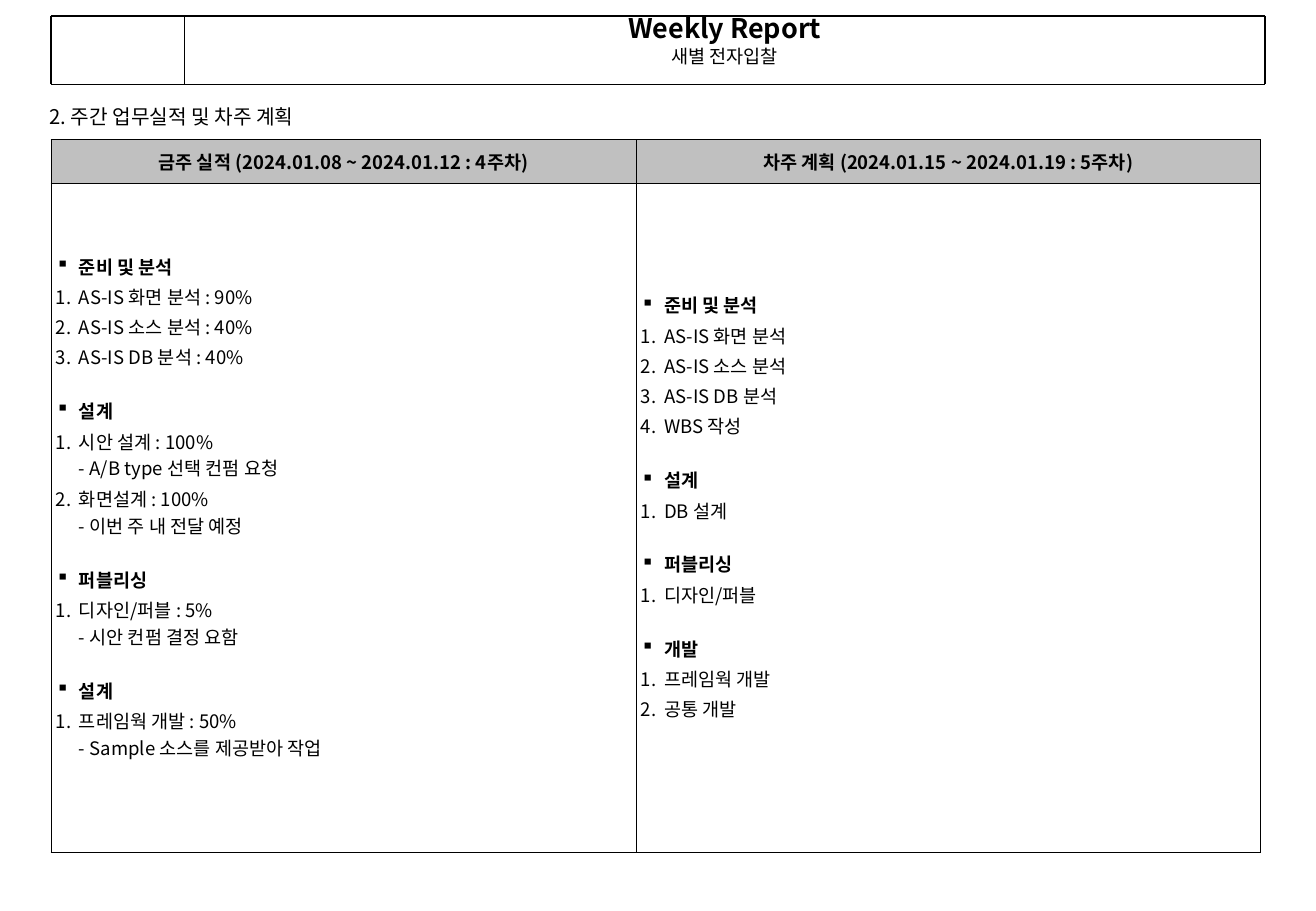
from copy import deepcopy

from lxml.etree import SubElement
from pptx import Presentation
from pptx.dml.color import RGBColor
from pptx.enum.shapes import MSO_CONNECTOR as Connector
from pptx.enum.text import MSO_ANCHOR as Anchor, MSO_AUTO_SIZE as AutoSize, PP_ALIGN as Align
from pptx.oxml.ns import qn
from pptx.util import Pt

PX = 9144
FONT = "Noto Sans CJK KR"
BLACK = RGBColor(0x00, 0x00, 0x00)
HEADER_GRAY = RGBColor(0xC0, 0xC0, 0xC0)
THIN, HAIR, MEDIUM, THICK = 0.25, 0.45, 0.75, 1.5

THIS_WEEK = [
    ("준비 및 분석", ["AS-IS 화면 분석 : 90%", "AS-IS 소스 분석 : 40%", "AS-IS DB 분석 : 40%"]),
    ("설계", ["시안 설계 : 100%\n- A/B type 선택 컨펌 요청",
            "화면설계 : 100%\n- 이번 주 내 전달 예정"]),
    ("퍼블리싱", ["디자인/퍼블 : 5%\n- 시안 컨펌 결정 요함"]),
    ("설계", ["프레임웍 개발 : 50%\n- Sample 소스를 제공받아 작업"]),
]
NEXT_WEEK = [
    ("준비 및 분석", ["AS-IS 화면 분석", "AS-IS 소스 분석", "AS-IS DB 분석", "WBS 작성"]),
    ("설계", ["DB 설계"]),
    ("퍼블리싱", ["디자인/퍼블"]),
    ("개발", ["프레임웍 개발", "공통 개발"]),
]
COLUMNS = [
    ("금주 실적 (2024.01.08 ~ 2024.01.12 : 4주차)", THIS_WEEK),
    ("차주 계획 (2024.01.15 ~ 2024.01.19 : 5주차)", NEXT_WEEK),
]


def add_span(para, text, size, bold=False):
    span = para.add_run()
    span.text = text
    span.font.name = FONT
    span.font.size = Pt(size)
    span.font.bold = bold
    span.font.color.rgb = BLACK
    SubElement(span.font._element, qn("a:ea"), typeface=FONT)
    return span


def set_margins(holder, side, top, bottom):
    holder.margin_left = holder.margin_right = side * PX
    holder.margin_top, holder.margin_bottom = top * PX, bottom * PX


def next_para(frame):
    """Return the empty first paragraph, or a new one."""
    first = frame.paragraphs[0]
    return frame.add_paragraph() if first.runs else first


def add_rule(page, x1, y1, x2, y2, weight):
    rule = page.shapes.add_connector(Connector.STRAIGHT, x1 * PX, y1 * PX, x2 * PX, y2 * PX)
    rule.line.color.rgb = BLACK
    rule.line.width = Pt(weight)
    SubElement(rule._element.spPr, qn("a:effectLst"))


def draw_banner(page, left, top, width, height):
    right, bottom, divider = left + width, top + height, left + 110
    title = page.shapes.title
    title.left, title.top = divider * PX, top * PX
    title.width, title.height = (right - divider) * PX, height * PX
    frame = title.text_frame
    frame.auto_size = AutoSize.NONE
    frame.word_wrap = True
    frame.vertical_anchor = Anchor.TOP
    set_margins(frame, 10, 2, 0)
    for text, size, bold in [("Weekly Report", 16, True), ("새별 전자입찰", 11, False)]:
        para = next_para(frame)
        para.alignment = Align.CENTER
        para.line_spacing = 0.8
        para.space_before = Pt(0 if bold else 2.8)
        add_span(para, text, size, bold)
    for x, weight in [(divider, THIN), (left, THICK), (right, THICK)]:
        add_rule(page, x, top, x, bottom, weight)
    for y, weight in [(top, THICK), (bottom, THIN)]:
        add_rule(page, left, y, right, y, weight)


def draw_section_heading(page, left, top, width, height):
    box = page.shapes.add_textbox(left * PX, top * PX, width * PX, height * PX)
    box.text_frame.word_wrap = True
    set_margins(box.text_frame, 10, 5, 5)
    add_span(box.text_frame.paragraphs[0], "2. 주간 업무실적 및 차주 계획", 12)


def set_borders(cell, left, top, right, bottom):
    props = cell._tc.get_or_add_tcPr()
    for side, weight in zip("LRTB", (left, right, top, bottom)):
        edge = SubElement(props, qn(f"a:ln{side}"), w=str(Pt(weight)))
        SubElement(SubElement(edge, qn("a:solidFill")), qn("a:srgbClr"), val=str(BLACK))


def add_list_para(frame, text, space_before, heading):
    """Add a square-bulleted heading or a numbered item; newlines become line breaks."""
    para = next_para(frame)
    para.space_before, para.space_after = Pt(space_before), Pt(1)
    props = para._p.get_or_add_pPr()
    props.set("marL", str(19 * PX))
    props.set("indent", str(-19 * PX))
    SubElement(SubElement(props, qn("a:buClr")), qn("a:srgbClr"), val=str(BLACK))
    if heading:
        SubElement(props, qn("a:buChar"), char="▪")
    else:
        SubElement(props, qn("a:buAutoNum"), type="arabicPeriod")
    first, *rest = text.split("\n")
    span = add_span(para, first, 11, heading)
    for line in rest:
        para.add_line_break()
        para._p[-1].append(deepcopy(span.font._element))
        add_span(para, line, 11, heading)


def fill_header(cell, text):
    set_margins(cell, 2, 5, 5)
    cell.fill.solid()
    cell.fill.fore_color.rgb = HEADER_GRAY
    para = cell.text_frame.paragraphs[0]
    para.alignment = Align.CENTER
    add_span(para, text, 11, True)


def fill_tasks(cell, groups):
    set_margins(cell, 4, 5, 24)
    cell.fill.background()
    for index, (heading, items) in enumerate(groups):
        add_list_para(cell.text_frame, heading, 15 if index else 0, True)
        for item in items:
            add_list_para(cell.text_frame, item, 1, False)


def draw_report_table(page, left, top, widths, heights):
    table = page.shapes.add_table(len(heights), len(widths), left * PX, top * PX,
                                  sum(widths) * PX, sum(heights) * PX).table
    table.first_row = table.horz_banding = False
    for row, height in zip(table.rows, heights):
        row.height = height * PX
    for index, (width, (header, groups)) in enumerate(zip(widths, COLUMNS)):
        table.columns[index].width = width * PX
        right = MEDIUM if index == len(widths) - 1 else HAIR
        for row, outer_top in enumerate((MEDIUM, HAIR)):
            cell = table.cell(row, index)
            cell.vertical_anchor = Anchor.MIDDLE
            set_borders(cell, HAIR, outer_top, right, HAIR)
        fill_header(table.cell(0, index), header)
        fill_tasks(table.cell(1, index), groups)


def main():
    deck = Presentation()
    deck.slide_width, deck.slide_height = 1084 * PX, 750 * PX
    page = deck.slides.add_slide(deck.slide_layouts[5])
    draw_banner(page, 42, 13, 1000, 56)
    draw_section_heading(page, 31, 81, 307, 34)
    draw_report_table(page, 42, 115, [482, 514], [36, 551])
    deck.save("out.pptx")


if __name__ == "__main__":
    main()
